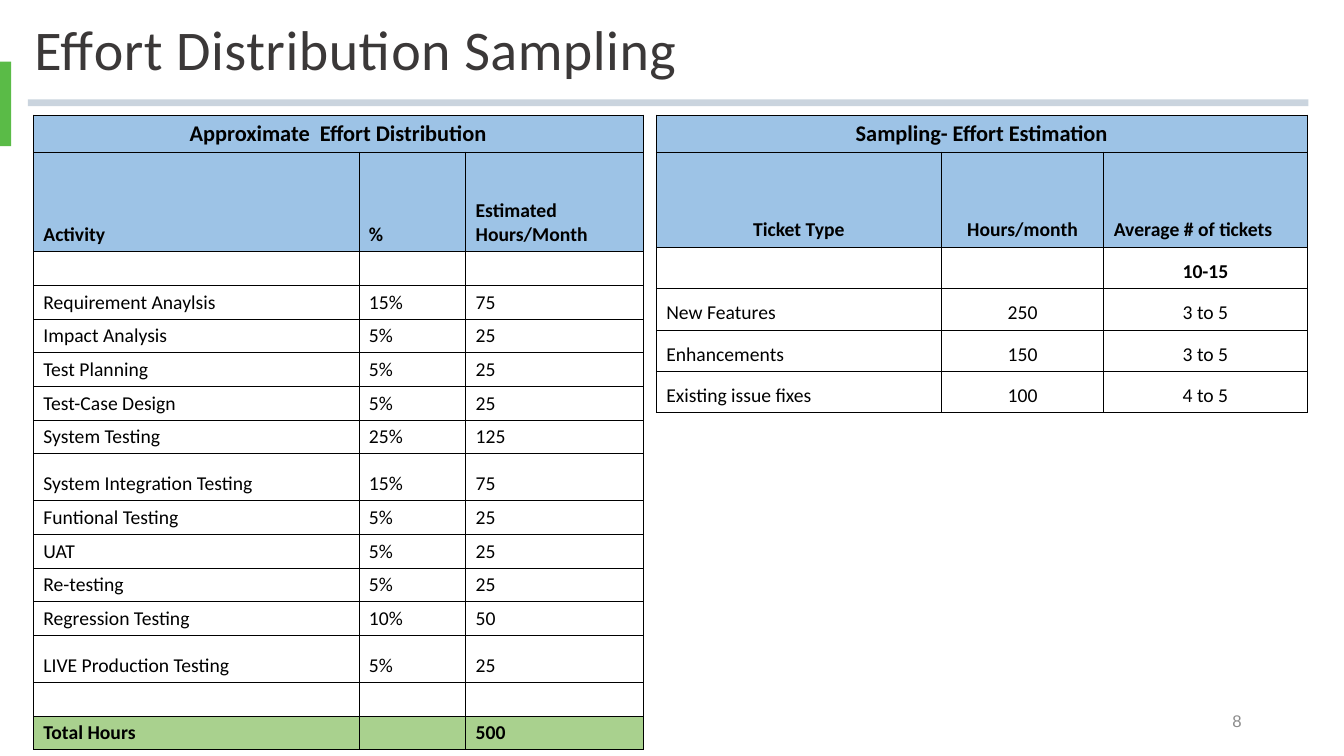
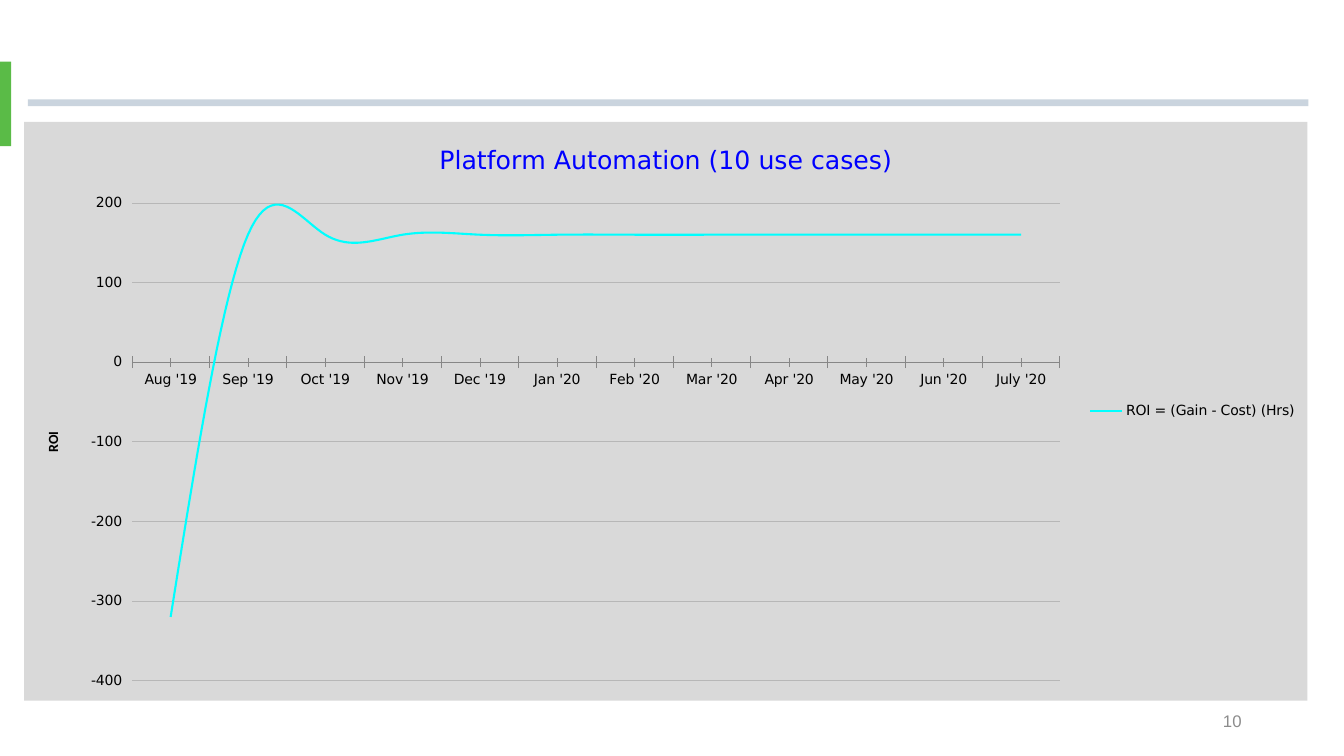
from lxml import etree
from pptx import Presentation
from pptx import util as u
from pptx.chart import data as chart_data
from pptx.dml.color import RGBColor
from pptx.enum import chart as charts, shapes, text as texts
from pptx.oxml import parse_xml
from pptx.oxml.ns import nsdecls, qn

BLACK = RGBColor(0x00, 0x00, 0x00)
WHITE = RGBColor(0xFF, 0xFF, 0xFF)
CHARCOAL = RGBColor(0x3B, 0x38, 0x38)
NUMBER_GRAY = RGBColor(0x8C, 0x8C, 0x8C)
AXIS_GRAY = RGBColor(0x87, 0x87, 0x87)
GRID_GRAY = RGBColor(0xB7, 0xB7, 0xB7)
CHART_GRAY = RGBColor(0xD9, 0xD9, 0xD9)
RULE_BLUE = RGBColor(0x50, 0x73, 0x92)
HEADER_BLUE = RGBColor(0x9D, 0xC3, 0xE6)
TITLE_BLUE = RGBColor(0x00, 0x00, 0xFF)
CYAN = RGBColor(0x00, 0xFF, 0xFF)
TAB_GREEN = RGBColor(0x5A, 0xBB, 0x47)
TOTAL_GREEN = RGBColor(0xA9, 0xD1, 0x8E)

LEFT = texts.PP_ALIGN.LEFT
CENTER = texts.PP_ALIGN.CENTER
RIGHT = texts.PP_ALIGN.RIGHT
CHART_FONT = "DejaVu Sans"


def points(*lengths):
    return [u.Pt(length) for length in lengths]


def set_font(font, name="Calibri", size=14, color=BLACK, bold=False):
    font.name = name
    font.size = u.Pt(size)
    font.bold = bold
    font.color.rgb = color


def write_text(frame, text, align=LEFT, line_spacing=None, tracking=None, **font):
    para = frame.paragraphs[0]
    para.alignment = align
    para.line_spacing = line_spacing
    if not text:
        size = int(font.get("size", 14) * 100)
        etree.SubElement(para._p, qn("a:endParaRPr"), sz=str(size))
        return
    span = para.add_run()
    span.text = text
    set_font(span.font, **font)
    if tracking:
        span.font._element.set("spc", str(int(tracking * 100)))


def add_borders(cell, width=0.5):
    properties = cell._tc.get_or_add_tcPr()
    for index, side in enumerate("LRTB"):
        properties.insert(index, parse_xml(
            f'<a:ln{side} {nsdecls("a")} w="{u.Pt(width)}">'
            f'<a:solidFill><a:srgbClr val="{BLACK}"/></a:solidFill></a:ln{side}>'))


def set_plot_layout(chart, **fractions):
    plot_area = chart.element.chart.plotArea
    for old in plot_area.findall(qn("c:layout")):
        plot_area.remove(old)
    values = "".join(f'<c:{key} val="{value}"/>' for key, value in fractions.items())
    plot_area.insert(0, parse_xml(
        f'<c:layout {nsdecls("c")}><c:manualLayout><c:layoutTarget val="inner"/>'
        f'<c:xMode val="edge"/><c:yMode val="edge"/>{values}'
        f'</c:manualLayout></c:layout>'))


def fill_chart(chart, color):
    chart.element.chart.addnext(parse_xml(
        f'<c:spPr {nsdecls("c", "a")}><a:solidFill><a:srgbClr val="{color}"/>'
        f'</a:solidFill><a:ln><a:noFill/></a:ln></c:spPr>'))


class Deck:
    TITLE_LAYOUT = 5
    BLANK_LAYOUT = 6

    def __init__(self):
        self.deck = Presentation()
        self.deck.slide_width, self.deck.slide_height = points(960, 540)
        self.page = None

    def add_page(self, number, title=None):
        layout = self.TITLE_LAYOUT if title else self.BLANK_LAYOUT
        self.page = self.deck.slides.add_slide(self.deck.slide_layouts[layout])
        self.add_rule()
        self.add_side_tab()
        if title:
            self.set_title(title)
        self.add_page_number(number)

    def add_rule(self):
        rule = self.page.shapes.add_connector(
            shapes.MSO_CONNECTOR.STRAIGHT, *points(20, 73.4, 934.6, 73.4))
        rule.line.width = u.Pt(5)
        rule.line.color.rgb = RULE_BLUE
        color = rule.element.spPr.find(".//" + qn("a:srgbClr"))
        etree.SubElement(color, qn("a:alpha"), val="30000")
        etree.SubElement(rule.element.spPr, qn("a:effectLst"))

    def add_side_tab(self):
        tab = self.page.shapes.add_shape(
            shapes.MSO_SHAPE.RECTANGLE, *points(0, 44, 8, 60.5))
        tab.shadow.inherit = False
        tab.fill.solid()
        tab.fill.fore_color.rgb = TAB_GREEN
        tab.line.fill.background()

    def set_title(self, title):
        box = self.page.shapes.title
        box.left, box.top, box.width, box.height = points(17.3, 5.8, 710, 57)
        frame = box.text_frame
        frame.auto_size = texts.MSO_AUTO_SIZE.NONE
        frame.vertical_anchor = texts.MSO_ANCHOR.BOTTOM
        write_text(frame, title, size=40, color=CHARCOAL, line_spacing=0.9, tracking=0.4)

    def add_page_number(self, number):
        box = self.page.shapes.add_textbox(*points(678, 500.4, 216, 28.8))
        frame = box.text_frame
        frame.word_wrap = True
        frame.vertical_anchor = texts.MSO_ANCHOR.MIDDLE
        write_text(frame, str(number), align=RIGHT, name="Arial", size=12, color=NUMBER_GRAY)

    def add_table(self, left, top, widths, heights, rows, header_aligns, body_aligns,
                  bold_rows=(), total_row=None):
        table = self.page.shapes.add_table(
            len(rows), len(widths),
            *points(left, top, sum(widths), sum(heights))).table
        for column, width in zip(table.columns, widths):
            column.width = u.Pt(width)
        for row, height in zip(table.rows, heights):
            row.height = u.Pt(height)
        for r, row in enumerate(rows):
            header = r < 2
            total = r == total_row
            color = HEADER_BLUE if header else TOTAL_GREEN if total else WHITE
            aligns = [CENTER] * 3 if r == 0 else header_aligns if r == 1 else body_aligns
            for c, align in enumerate(aligns):
                cell = table.cell(r, c)
                cell.fill.solid()
                cell.fill.fore_color.rgb = color
                cell.vertical_anchor = texts.MSO_ANCHOR.BOTTOM
                add_borders(cell)
                write_text(cell.text_frame, row[c] if c < len(row) else "",
                           align=align, size=16 if r == 0 else 14,
                           bold=header or total or r in bold_rows)
        table.cell(0, 0).merge(table.cell(0, len(widths) - 1))

    def add_line_chart(self, title, value_title, series_name, categories, values):
        source = chart_data.CategoryChartData()
        source.categories = categories
        source.add_series(series_name, values)
        chart = self.page.shapes.add_chart(
            charts.XL_CHART_TYPE.LINE, *points(17.3, 87.1, 916.6, 413.3), source).chart
        set_font(chart.font, size=10)
        fill_chart(chart, CHART_GRAY)
        set_plot_layout(chart, x=0.084, y=0.14, w=0.723, h=0.826)

        chart.has_title = True
        write_text(chart.chart_title.text_frame, title, align=CENTER,
                   name=CHART_FONT, size=18, color=TITLE_BLUE)
        chart.chart_title.include_in_layout = False

        chart.has_legend = True
        chart.legend.position = charts.XL_LEGEND_POSITION.RIGHT
        chart.legend.include_in_layout = False
        set_font(chart.legend.font, name=CHART_FONT, size=10)

        for axis in (chart.category_axis, chart.value_axis):
            set_font(axis.tick_labels.font, name=CHART_FONT, size=10)
            axis.major_tick_mark = charts.XL_TICK_MARK.CROSS
            axis.minor_tick_mark = charts.XL_TICK_MARK.CROSS
        chart.category_axis.format.line.color.rgb = AXIS_GRAY
        chart.category_axis.format.line.width = u.Pt(0.5)

        value_axis = chart.value_axis
        value_axis.minimum_scale = -400
        value_axis.maximum_scale = 200
        value_axis.major_unit = 100
        value_axis.format.line.fill.background()
        grid = value_axis.major_gridlines.format.line
        grid.color.rgb = GRID_GRAY
        grid.width = u.Pt(0.5)
        value_axis.has_title = True
        write_text(value_axis.axis_title.text_frame, value_title,
                   align=CENTER, size=10, bold=True)

        chart.plots[0].vary_by_categories = False
        series = chart.plots[0].series[0]
        series.smooth = True
        series.format.line.color.rgb = CYAN
        series.format.line.width = u.Pt(1.5)
        series.marker.style = charts.XL_MARKER_STYLE.NONE

    def save(self):
        self.deck.save("out.pptx")


def build_effort_page(deck):
    deck.add_page(8, "Effort Distribution Sampling")
    activities = [
        ("Requirement Anaylsis", 15), ("Impact Analysis", 5), ("Test Planning", 5),
        ("Test-Case Design", 5), ("System Testing", 25),
        ("System Integration Testing", 15), ("Funtional Testing", 5), ("UAT", 5),
        ("Re-testing", 5), ("Regression Testing", 10), ("LIVE Production Testing", 5),
    ]
    total_hours = 500
    effort_rows = [
        ("Approximate  Effort Distribution",),
        ("Activity", "%", "Estimated Hours/Month"),
        (),
        *[(name, f"{share}%", str(total_hours * share // 100)) for name, share in activities],
        (),
        ("Total Hours", "", str(total_hours)),
    ]
    tall_rows = ("System Integration Testing", "LIVE Production Testing")
    body_heights = [33.6 if row and row[0] in tall_rows else 24 for row in effort_rows[2:]]
    deck.add_table(23.8, 82.1, [232.5, 76.3, 126.7], [26.5, 71.3, *body_heights],
                   effort_rows, [LEFT] * 3, [LEFT] * 3, total_row=len(effort_rows) - 1)

    ticket_rows = [
        ("Sampling- Effort Estimation",),
        ("Ticket Type", "Hours/month", "Average # of tickets"),
        ("", "", "10-15"),
        ("New Features", "250", "3 to 5"),
        ("Enhancements", "150", "3 to 5"),
        ("Existing issue fixes", "100", "4 to 5"),
    ]
    deck.add_table(468.7, 82.1, [203.8, 115.9, 145.4], [25.3, 67.9] + [29.6] * 4,
                   ticket_rows, [CENTER, CENTER, LEFT], [LEFT, CENTER, CENTER], bold_rows=(2,))


def build_roi_page(deck):
    deck.add_page(10)
    months = ["Aug '19", "Sep '19", "Oct '19", "Nov '19", "Dec '19", "Jan '20",
              "Feb '20", "Mar '20", "Apr '20", "May '20", "Jun '20", "July '20"]
    deck.add_line_chart("Platform Automation (10 use cases)", "ROI",
                        "ROI = (Gain - Cost) (Hrs)", months,
                        [-320] + [160] * (len(months) - 1))


def main():
    deck = Deck()
    build_effort_page(deck)
    build_roi_page(deck)
    deck.save()


if __name__ == "__main__":
    main()
